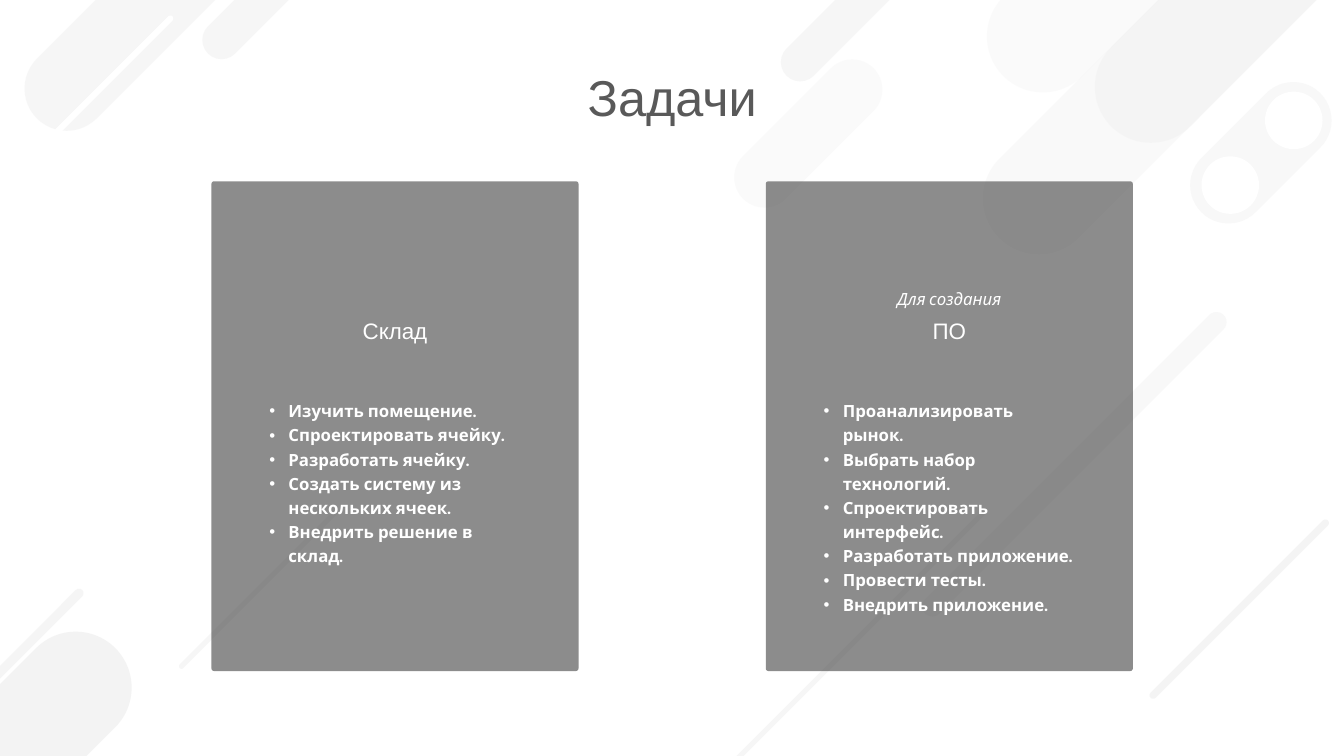
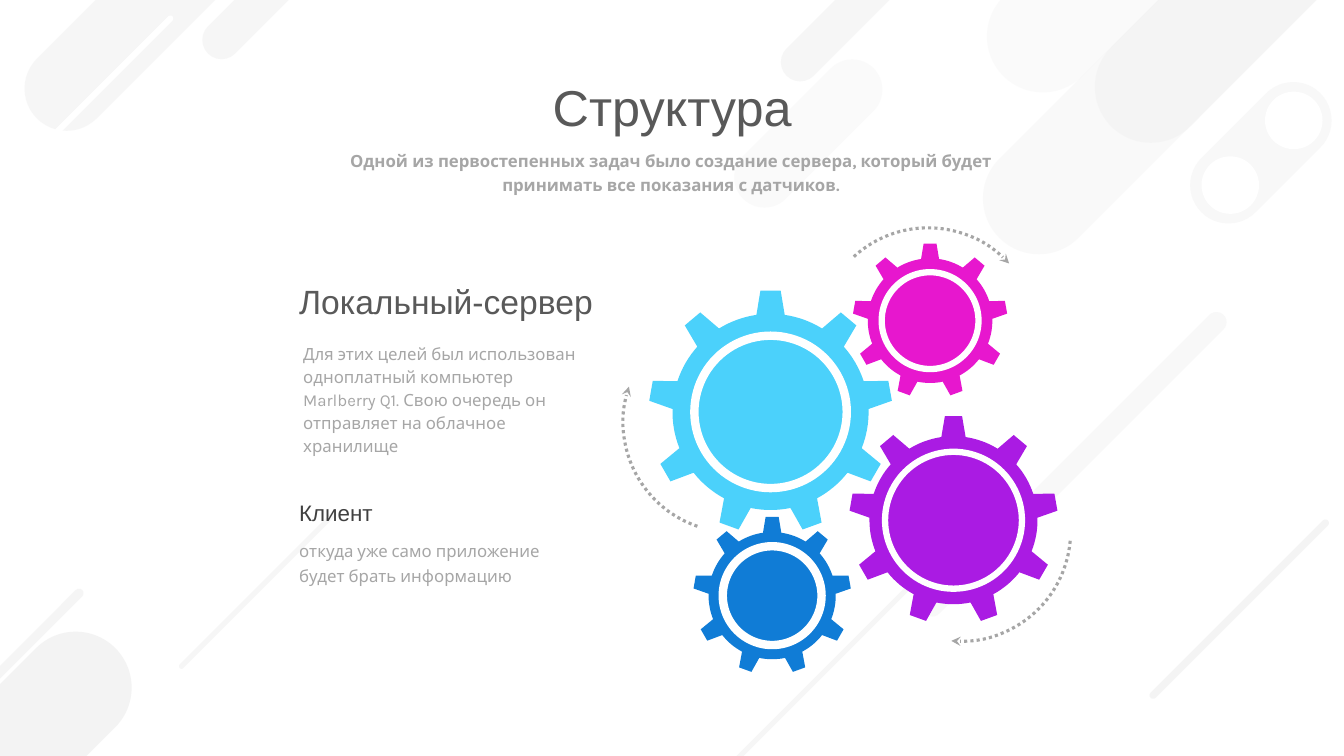
from dataclasses import dataclass
from math import cos, radians, sin

from lxml.etree import SubElement
from pptx import Presentation
from pptx.dml.color import RGBColor
from pptx.enum.dml import MSO_LINE
from pptx.enum.shapes import MSO_SHAPE
from pptx.enum.text import MSO_ANCHOR, MSO_AUTO_SIZE, PP_ALIGN
from pptx.oxml.ns import qn
from pptx.util import Cm, Pt


@dataclass(frozen=True)
class Theme:
    head: str = "Arial"
    body: str = "Karla"
    white: str = "FFFFFF"
    pale: str = "F2F2F2"
    mist: str = "D9D9D9"
    gray: str = "A6A6A6"
    slate: str = "595959"
    dark: str = "404040"
    sky: str = "4BD1FB"
    violet: str = "AA1BE3"
    blue: str = "107CD6"
    pink: str = "E717CE"
    title: int = 36
    large: int = 24
    mid: int = 16
    small: int = 12


look = Theme()


def paint(shape, color, alpha=100):
    """Flat fill without line or shadow; alpha is in percent."""
    shape.shadow.inherit = False
    shape.fill.solid()
    shape.fill.fore_color.rgb = RGBColor.from_string(color)
    shape.line.fill.background()
    if alpha < 100:
        tone = shape.element.find(".//" + qn("a:srgbClr"))
        SubElement(tone, qn("a:alpha"), val=str(alpha * 1000))


def write(slide, place, lines, size, color, face=look.body, align=PP_ALIGN.LEFT,
          space=1.0, bold=False, italic=False, bullet=False, title=False):
    """Fill the title or a new text box; place is left, top, width, height in cm."""
    box = slide.shapes.title if title else slide.shapes.add_textbox(0, 0, 0, 0)
    box.left, box.top, box.width, box.height = [Cm(n) for n in place]
    frame = box.text_frame
    frame.word_wrap = True
    frame.auto_size = MSO_AUTO_SIZE.NONE
    frame.vertical_anchor = MSO_ANCHOR.TOP
    frame.text = "\n".join(lines)
    for para in frame.paragraphs:
        para.alignment = align
        para.line_spacing = space
        if bullet:
            props = para._p.get_or_add_pPr()
            props.set("marL", str(Cm(0.48)))
            props.set("indent", str(-Cm(0.48)))
            SubElement(props, qn("a:buFont"), typeface=look.head)
            SubElement(props, qn("a:buChar"), char="•")
        font = para.font
        font.name, font.size = face, Pt(size)
        font.bold, font.italic = bold, italic
        font.color.rgb = RGBColor.from_string(color)


deck = Presentation()
deck.slide_width, deck.slide_height = Cm(33.87), Cm(19.05)
layout = deck.slide_layouts[5]

# Slides with their titles
tasks, plan = [deck.slides.add_slide(layout) for _ in range(2)]
for slide, text, top in ((tasks, "Задачи", 1.55), (plan, "Структура", 1.78)):
    write(slide, (4.95, top, 23.98, 1.8), [text], look.title, look.slate,
          look.head, PP_ALIGN.CENTER, title=True)

# Shared backdrop: slanted bars and two holes, moved to the layout
bars = [
    (-0.15, 15.65, 2.82, 4.65, look.pale, 85),
    (0.71, 14.35, 0.23, 3.53, look.pale, 72),
    (6.43, 12.09, 0.13, 5.56, look.mist, 22),
    (21.06, 11.28, 0.13, 10.59, look.mist, 22),
    (29.29, -7.32, 2.82, 15.6, look.pale, 42),
    (30.81, 1.73, 1.93, 4.24, look.pale, 51),
    (31.88, 2.31, 1.45, 1.45, look.white, 100),
    (30.28, 3.94, 1.45, 1.45, look.white, 100),
    (32.11, -10.13, 2.82, 15.6, look.pale, 59),
    (29.39, -11.4, 2.82, 15.6, look.pale, 32),
    (26.82, 6.38, 0.51, 10.64, look.pale, 52),
    (19.61, 1.04, 1.52, 4.65, look.pale, 37),
    (20.98, -2.06, 0.97, 4.65, look.pale, 65),
    (6.4, -2.62, 0.97, 4.65, look.pale, 65),
    (2.46, -3.28, 2.13, 7.34, look.pale, 65),
    (1.73, -0.64, 0.15, 7.19, look.white, 100),
    (31.14, 12.19, 0.18, 6.32, look.pale, 82),
]
for i, (*place, color, alpha) in enumerate(bars):
    hole = place[2] == place[3]
    kind = MSO_SHAPE.OVAL if hole else MSO_SHAPE.ROUNDED_RECTANGLE
    bar = tasks.shapes.add_shape(kind, *[Cm(n) for n in place])
    if not hole:
        bar.adjustments[0] = 0.5
        bar.rotation = 45
    paint(bar, color, alpha)
    bar.element.nvSpPr.cNvPr.set("id", str(100 + i))
    layout.shapes.element.insert(2 + i, bar.element)

# Task cards
cards = [
    ("Склад", "", ["Изучить помещение.", "Спроектировать ячейку.",
                   "Разработать ячейку.", "Создать систему из нескольких ячеек.",
                   "Внедрить решение в склад."]),
    ("ПО", "Для создания", ["Проанализировать рынок.", "Выбрать набор технологий.",
                            "Спроектировать интерфейс.", "Разработать приложение.",
                            "Провести тесты.", "Внедрить приложение."]),
]
wide = 9.25
for i, (head, note, items) in enumerate(cards):
    left = 5.33 + i * 13.97
    card = tasks.shapes.add_shape(MSO_SHAPE.ROUNDED_RECTANGLE, Cm(left), Cm(4.57),
                                  Cm(wide), Cm(12.34))
    card.adjustments[0] = 0.007
    paint(card, look.dark, 60)
    write(tasks, (left, 7.87, wide, 0.94), [head], look.mid, look.white,
          look.head, PP_ALIGN.CENTER)
    if note:
        write(tasks, (left, 7.06, wide, 0.81), [note], look.small, look.white,
              align=PP_ALIGN.CENTER, space=1.2, italic=True)
    write(tasks, (left + 1.21, 9.88, 6.81, 6), items, look.small, look.white,
          space=1.2, bold=True, bullet=True)

# Gears: nine teeth, each with a narrow tip and a wider root, joined by root arcs
gears = [
    (19.42, 10.38, 3.07, 3.84, 6, look.sky),
    (24.03, 13.11, 2.63, 3.45, 4.5, look.violet),
    (19.46, 15.01, 1.99, 2.49, 6, look.blue),
    (23.44, 8.08, 1.95, 2.44, 4.5, look.pink),
]
teeth, tip, root, arcs = 9, 4.75, 8.3, 8
step = 360 / teeth
for x, y, size, disc, rim, color in gears:
    inner = size * 0.805
    spots = []
    for n in range(teeth):
        mid = n * step - 90
        spots += [(mid - tip, size), (mid + tip, size)]
        spots += [(mid + root + (step - 2 * root) * k / arcs, inner)
                  for k in range(arcs + 1)]
    points = [(Cm(x + r * cos(radians(a))), Cm(y + r * sin(radians(a))))
              for a, r in spots]
    path = plan.shapes.build_freeform(*points[0])
    path.add_line_segments(points[1:], close=True)
    paint(path.convert_to_shape(), color)
    hub = plan.shapes.add_shape(MSO_SHAPE.OVAL, Cm(x - disc / 2), Cm(y - disc / 2),
                                Cm(disc), Cm(disc))
    paint(hub, color)
    hub.line.color.rgb = RGBColor.from_string(look.white)
    hub.line.width = Pt(rim)

# Dotted turn arrows
for left, top, turn in ((20.62, 5.74, 317.5), (15.7, 7.87, 198.9), (21.44, 10.62, 94.9)):
    arc = plan.shapes.add_shape(MSO_SHAPE.ARC, Cm(left), Cm(top), Cm(5.54), Cm(5.54))
    arc.rotation = turn
    arc.shadow.inherit = False
    arc.fill.background()
    arc.line.color.rgb = RGBColor.from_string(look.gray)
    arc.line.width = Pt(2.25)
    arc.line.dash_style = MSO_LINE.ROUND_DOT
    SubElement(arc.element.find(".//" + qn("a:ln")), qn("a:tailEnd"), type="stealth")

# Structure texts
write(plan, (7.29, 3.58, 19.25, 1.42),
      ["Одной из первостепенных задач было создание сервера, который будет "
       "принимать все показания с датчиков."],
      look.small, look.gray, align=PP_ALIGN.CENTER, space=1.2, bold=True)
write(plan, (7.29, 6.96, 8.15, 1.27), ["Локальный-сервер"], look.large, look.slate,
      look.head)
write(plan, (7.39, 8.46, 7.67, 3),
      ["Для этих целей был использован одноплатный компьютер Marlberry Q1. "
       "Свою очередь он отправляет на облачное хранилище"],
      look.small, look.gray, space=1.14)
write(plan, (7.29, 12.32, 6.15, 0.99), ["Клиент"], look.mid, look.dark, look.head,
      space=1.2)
write(plan, (7.29, 13.41, 7.57, 1.42),
      ["откуда уже само приложение будет брать информацию"],
      look.small, look.gray, space=1.2)

deck.save("out.pptx")
